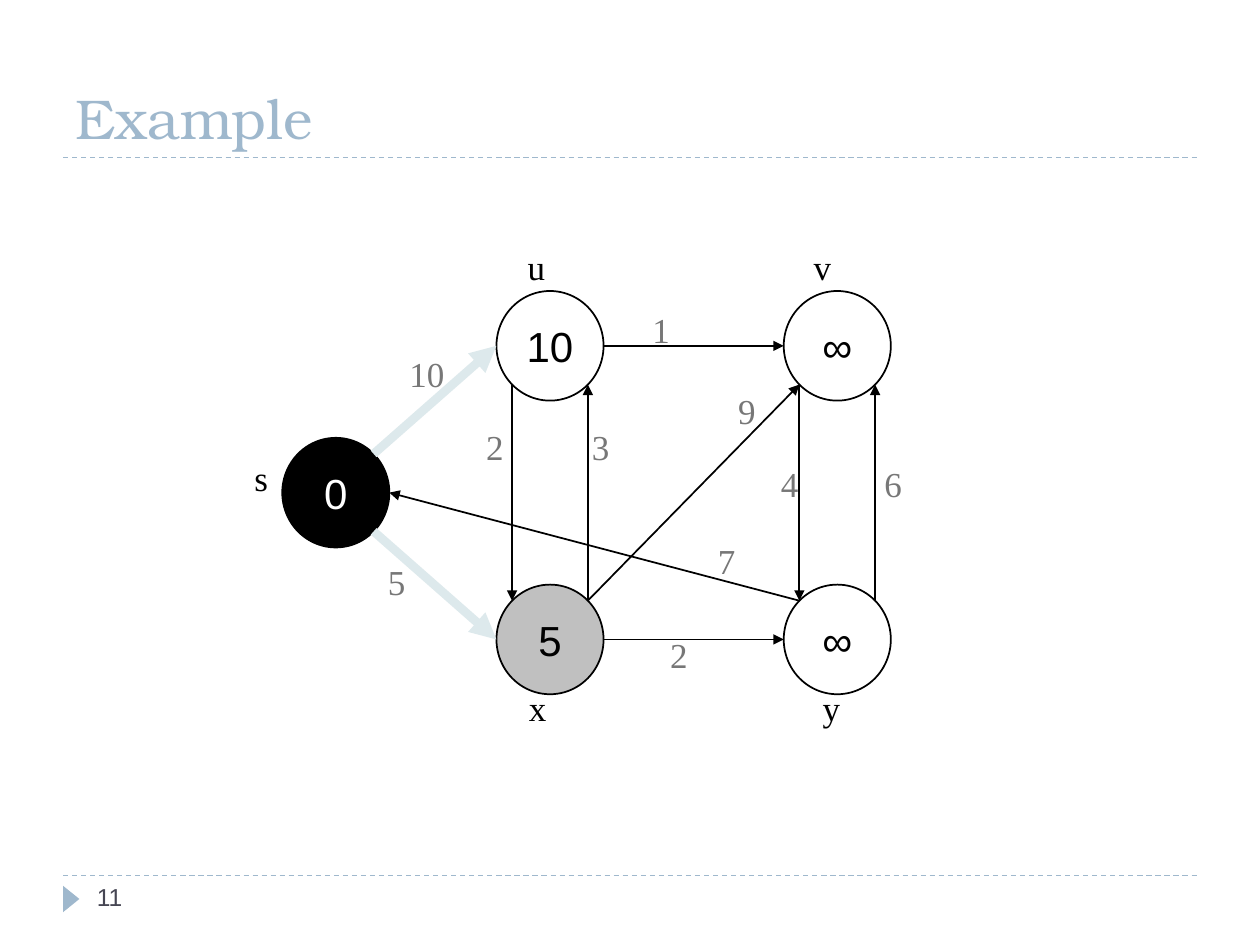
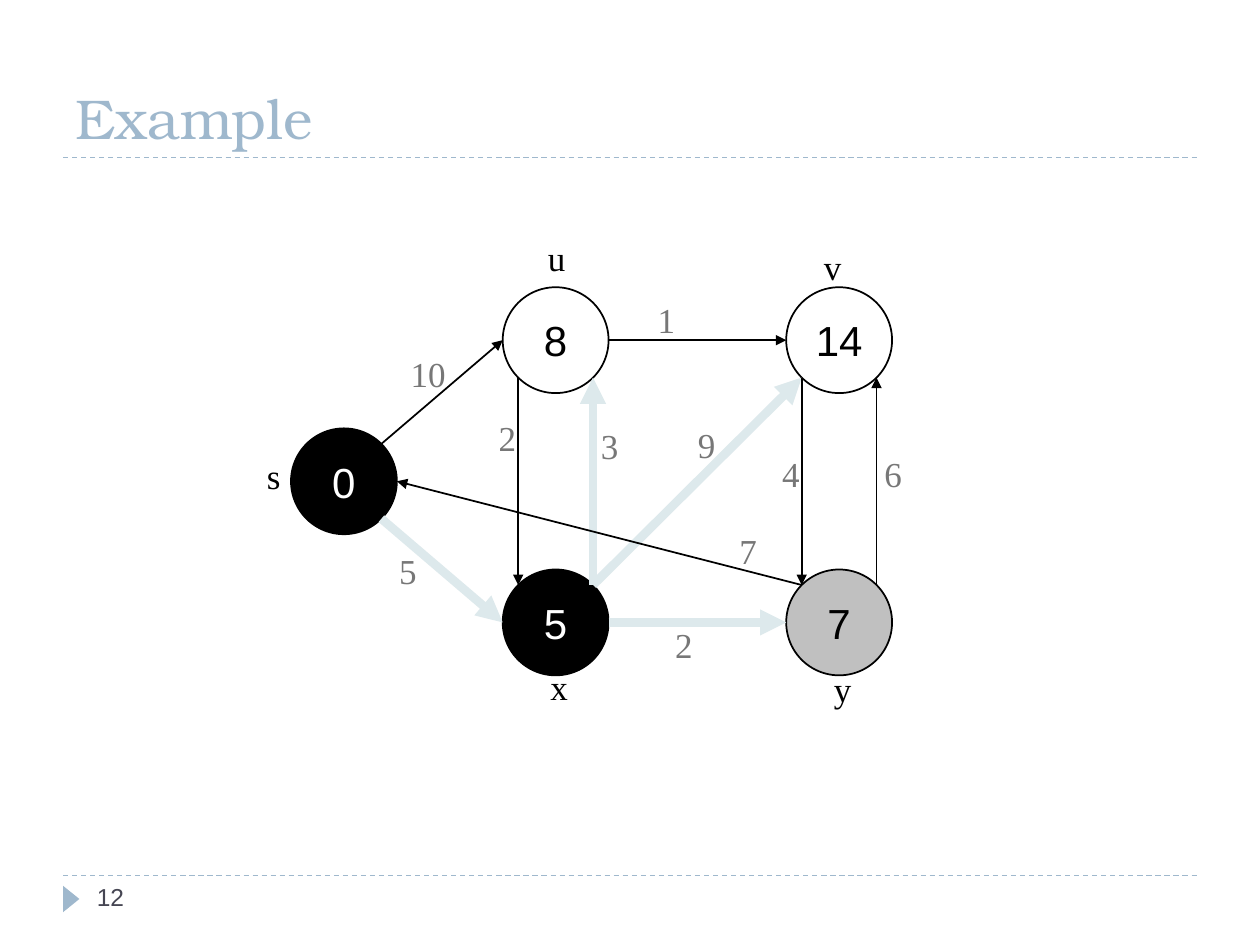
import pptx
import pptx.dml.color
import pptx.enum.dml
import pptx.enum.shapes
import pptx.enum.text
import pptx.oxml
import pptx.oxml.ns
import pptx.util

Inches = pptx.util.Inches
RGBColor = pptx.dml.color.RGBColor
SHAPE = pptx.enum.shapes.MSO_SHAPE
ALIGN = pptx.enum.text.PP_ALIGN
ANCHOR = pptx.enum.text.MSO_ANCHOR
AUTO_SIZE = pptx.enum.text.MSO_AUTO_SIZE

# Colours and fonts
ACCENT = RGBColor(0x9F, 0xB8, 0xCD)
PAGE_GREY = RGBColor(0x46, 0x46, 0x53)
WEIGHT_GREY = RGBColor(0x77, 0x77, 0x77)
RELAXED = RGBColor(0xDD, 0xE9, 0xEC)
BLACK = RGBColor(0, 0, 0)
WHITE = RGBColor(0xFF, 0xFF, 0xFF)
SILVER = RGBColor(0xC0, 0xC0, 0xC0)
TITLE_FONT, SANS, SERIF = "TeX Gyre Bonum", "Arial", "Times New Roman"

# Vertex state: (fill, text colour)
STATES = {"open": (None, BLACK), "current": (SILVER, BLACK), "done": (BLACK, WHITE)}

# Graph: vertex -> (column, row); edge -> (weight, start site, end site)
VERTICES = {"u": (1, 0), "v": (2, 0), "x": (1, 2), "y": (2, 2), "s": (0, 1)}
EDGES = {
    "xu": ("3", "NE", "SE"),
    "ux": ("2", "SW", "NW"),
    "uv": ("1", "E", "W"),
    "xv": ("9", "NE", "SW"),
    "vy": ("4", "SW", "NW"),
    "yv": ("6", "NE", "SE"),
    "xy": ("2", "E", "W"),
    "ys": ("7", "NW", "E"),
    "sx": ("5", "SE", "W"),
    "su": ("10", "NE", "W"),
}
WIDE_WEIGHTS = ("su", "sx", "uv")

# One step of the algorithm per slide; label positions are (left, top)
STEPS = [
    {
        "page": "11",
        "size": (0.85, 0.87), "columns": (2.24, 3.94, 6.22), "top": 2.31, "pitch": 1.165,
        "distances": {"u": ("10", "open"), "v": ("∞", "open"), "x": ("5", "current"),
                      "y": ("∞", "open"), "s": ("0", "done")},
        "relaxed": ("sx", "su"),
        "labels": {
            "s": (1.92, 3.57), "u": (4.09, 1.9), "v": (6.36, 1.9),
            "y": (6.43, 5.4), "x": (4.1, 5.4),
            "su": (3.15, 2.75), "sx": (2.98, 4.4), "uv": (5.08, 2.4),
            "ux": (3.76, 3.33), "xu": (4.6, 3.33), "xv": (5.76, 3.04),
            "vy": (6.1, 3.62), "yv": (6.92, 3.62), "ys": (5.6, 4.23), "xy": (5.22, 4.98),
        },
    },
    {
        "page": "12",
        "size": (0.84, 0.84), "columns": (2.31, 3.99, 6.24), "top": 2.28, "pitch": 1.12,
        "distances": {"u": ("8", "open"), "v": ("14", "open"), "x": ("5", "done"),
                      "y": ("7", "current"), "s": ("0", "done")},
        "relaxed": ("xu", "xv", "xy", "sx"),
        "labels": {
            "s": (2.02, 3.56), "u": (4.25, 1.83), "v": (6.44, 1.9),
            "y": (6.52, 5.25), "x": (4.27, 5.23),
            "su": (3.16, 2.75), "sx": (3.07, 4.31), "uv": (5.12, 2.32),
            "ux": (3.86, 3.26), "xu": (4.67, 3.32), "xv": (5.44, 3.31),
            "vy": (6.11, 3.54), "yv": (6.92, 3.54), "ys": (5.77, 4.15), "xy": (5.26, 4.9),
        },
    },
]

# Sites on a circle, as fractions of its width and height from the centre
DIAGONAL = 0.5 * 0.5 ** 0.5
SITES = {"E": (0.5, 0), "W": (-0.5, 0),
         "NE": (DIAGONAL, -DIAGONAL), "NW": (-DIAGONAL, -DIAGONAL),
         "SE": (DIAGONAL, DIAGONAL), "SW": (-DIAGONAL, DIAGONAL)}


def write(frame, text, size, font, color, align=ALIGN.LEFT):
    paragraph = frame.paragraphs[0]
    paragraph.alignment = align
    run = paragraph.add_run()
    run.text = text
    run.font.size = pptx.util.Pt(size)
    run.font.name = font
    run.font.color.rgb = color


def add_label(slide, text, box, size, font, color):
    frame = slide.shapes.add_textbox(*map(Inches, box)).text_frame
    frame.word_wrap = True
    write(frame, text, size, font, color)
    return frame


def add_line(slide, start, end, color, width):
    line = slide.shapes.add_connector(
        pptx.enum.shapes.MSO_CONNECTOR.STRAIGHT, *map(Inches, (*start, *end)))
    line.line.color.rgb = color
    line.line.width = pptx.util.Pt(width)
    line._element.spPr.append(pptx.oxml.parse_xml(
        f"<a:effectLst {pptx.oxml.ns.nsdecls('a')}/>"))
    return line


def add_frame(slide, page):
    # Rules, page marker, title and page number
    for y in (6.95, 1.25):
        rule = add_line(slide, (0.5, y), (9.5, y), ACCENT, 0.75)
        rule.line.dash_style = pptx.enum.dml.MSO_LINE.DASH
    marker = slide.shapes.add_shape(
        SHAPE.ISOSCELES_TRIANGLE, *map(Inches, (0.46, 7.07, 0.21, 0.13)))
    marker.rotation = 90
    marker.shadow.inherit = False
    marker.fill.solid()
    marker.fill.fore_color.rgb = ACCENT
    marker.line.fill.background()

    title = slide.shapes.title
    title.left, title.top, title.width, title.height = map(Inches, (0.5, 0.17, 9, 1.08))
    title.text_frame.vertical_anchor = ANCHOR.BOTTOM
    title.text_frame.auto_size = AUTO_SIZE.NONE
    write(title.text_frame, "Example", 32, TITLE_FONT, ACCENT)
    add_label(slide, page, (0.67, 6.95, 2.17, 0.4), 14, SANS, PAGE_GREY)


def add_vertex(slide, box, distance, state):
    fill, text_color = STATES[state]
    vertex = slide.shapes.add_shape(SHAPE.OVAL, *map(Inches, box))
    vertex.shadow.inherit = False
    if fill is None:
        vertex.fill.background()
    else:
        vertex.fill.solid()
        vertex.fill.fore_color.rgb = fill
    vertex.line.color.rgb = BLACK
    vertex.line.width = pptx.util.Pt(1)
    vertex.text_frame.word_wrap = False
    vertex.text_frame.vertical_anchor = ANCHOR.MIDDLE
    write(vertex.text_frame, distance, 24, SANS, text_color, ALIGN.CENTER)


def add_graph(slide, step):
    width, height = step["size"]
    corners = {name: (step["columns"][column], step["top"] + row * step["pitch"])
               for name, (column, row) in VERTICES.items()}

    def site_point(name, site):
        left, top = corners[name]
        dx, dy = SITES[site]
        return left + width * (0.5 + dx), top + height * (0.5 + dy)

    for name, corner in corners.items():
        add_vertex(slide, (*corner, width, height), *step["distances"][name])

    for edge, (_, start_site, end_site) in EDGES.items():
        color, thickness = (RELAXED, 5) if edge in step["relaxed"] else (BLACK, 1)
        arrow = add_line(slide, site_point(edge[0], start_site),
                         site_point(edge[1], end_site), color, thickness)
        arrow.line._get_or_add_ln().append(pptx.oxml.parse_xml(
            f"<a:tailEnd {pptx.oxml.ns.nsdecls('a')} type='triangle'/>"))

    # Vertex names and edge weights
    for key, position in step["labels"].items():
        text, color = (EDGES[key][0], WEIGHT_GREY) if key in EDGES else (key, BLACK)
        label_width = 0.85 if key in WIDE_WEIGHTS else 0.57
        frame = add_label(slide, text, (*position, label_width, 0.43), 20, SERIF, color)
        frame.auto_size = AUTO_SIZE.SHAPE_TO_FIT_TEXT


def main():
    deck = pptx.Presentation()
    deck.slide_width, deck.slide_height = Inches(10), Inches(7.5)
    for step in STEPS:
        slide = deck.slides.add_slide(deck.slide_layouts.get_by_name("Title Only"))
        add_frame(slide, step["page"])
        add_graph(slide, step)
    deck.save("out.pptx")


if __name__ == "__main__":
    main()
